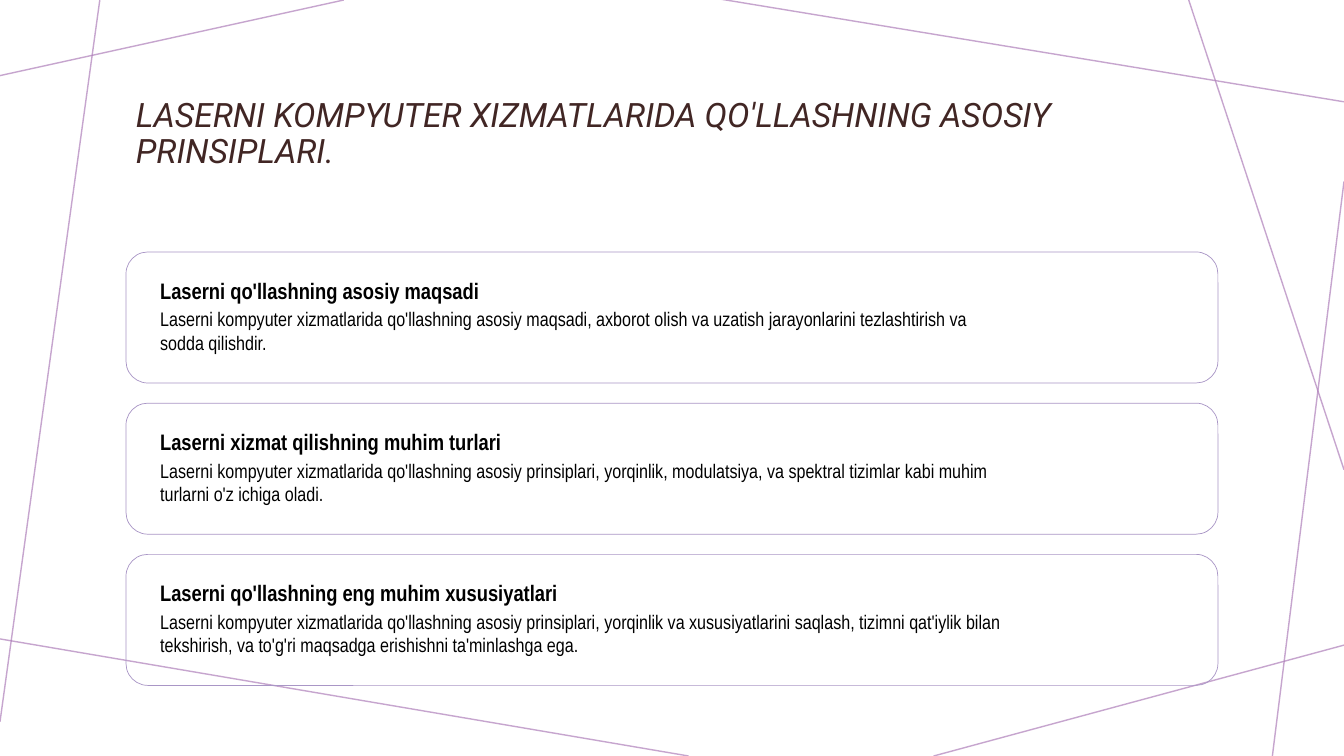
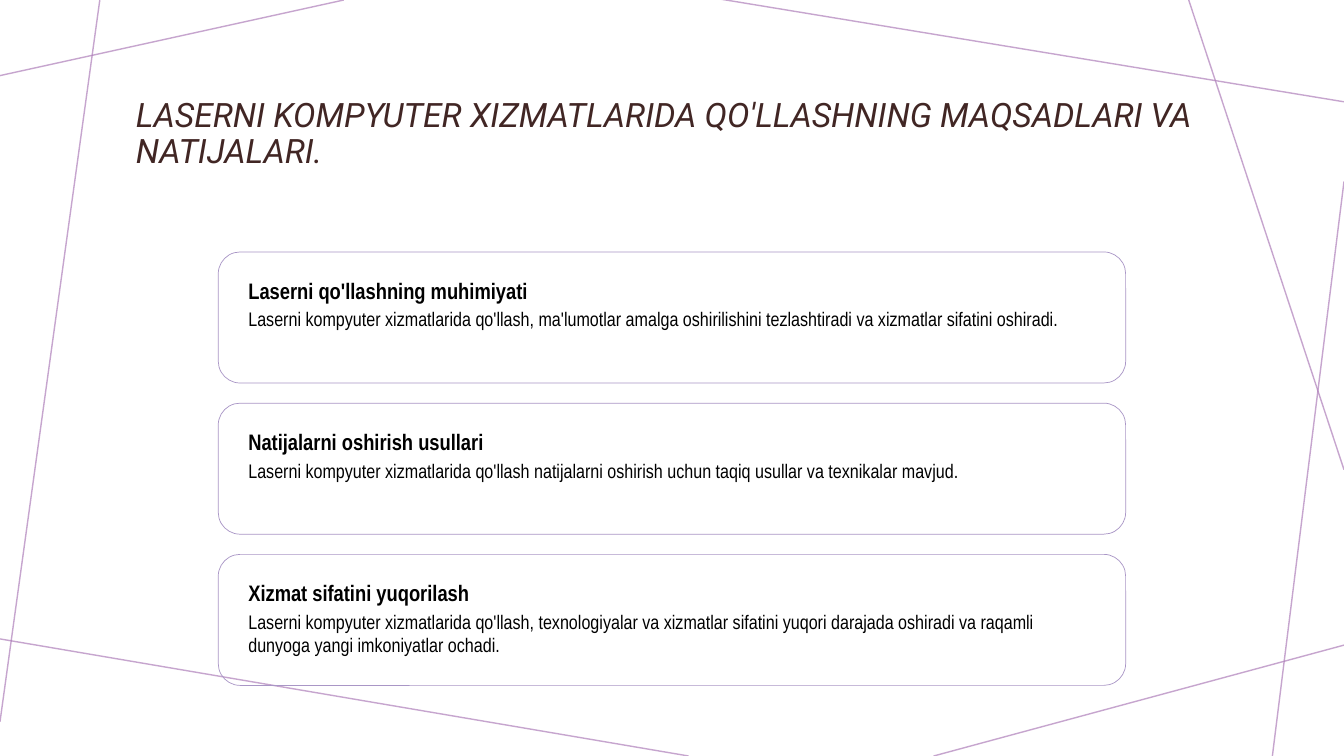
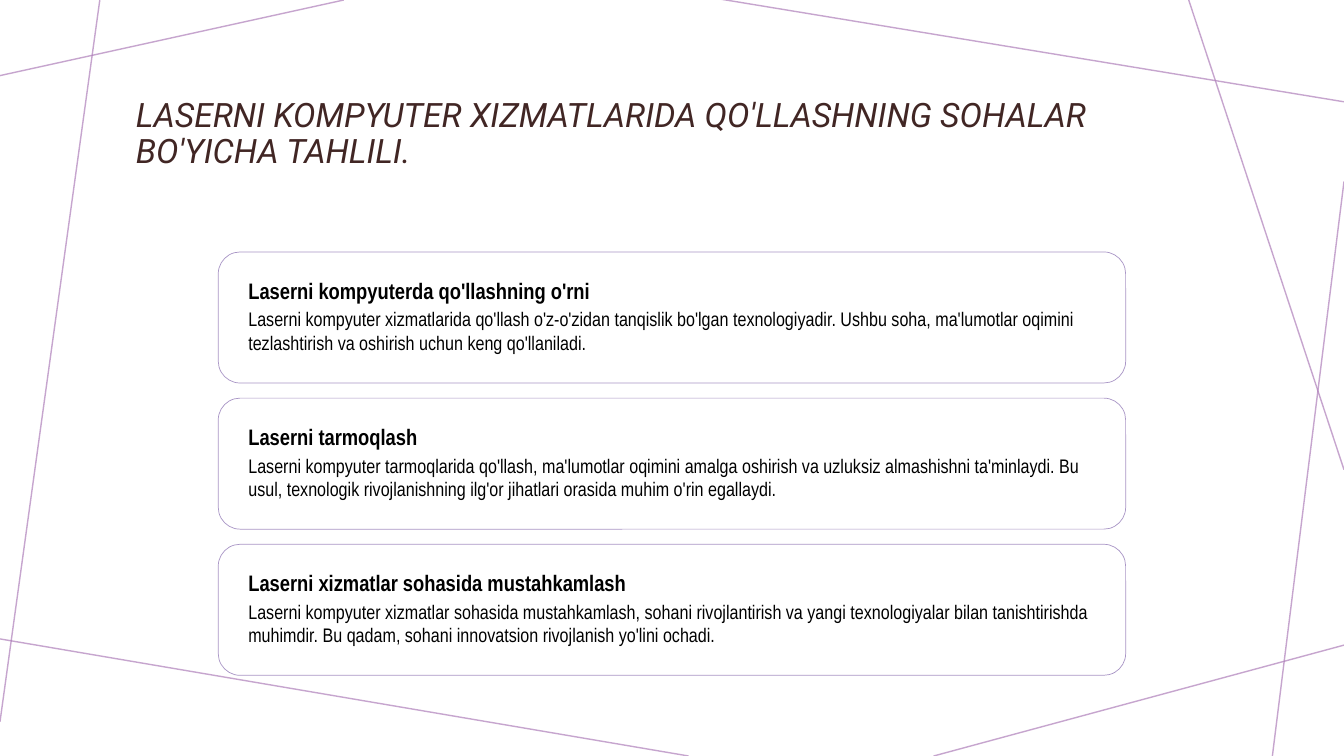
from pptx import Presentation
from pptx.dml.color import RGBColor as RGB
from pptx.enum.shapes import MSO_CONNECTOR as Link, MSO_SHAPE as Shape
from pptx.enum.text import MSO_ANCHOR as Anchor, MSO_AUTO_SIZE as Fit
from pptx.oxml.ns import qn
from pptx.util import Inches, Pt
from lxml.etree import SubElement as Sub

WIDE, HIGH = 13.33, 7.5
RAY, EDGE, HEAD, INK = "AF7FBA", "A996C6", "412624", "000000"
SERIF, NARROW = "Roboto", "Arial Narrow"
TOP, TALL = 2.5, 1.3
RAYS = [
    (3.41, 0, 0, 0.75),
    (0.99, 0, 0, 7.16),
    (6.83, HIGH, -0.05, 6.33),
    (WIDE, 6.4, 9.26, HIGH),
    (WIDE, 1.8, 12.62, HIGH),
    (WIDE, 4.66, 11.79, 0),
    (WIDE, 1.01, 7.14, -0.01),
]

SLIDES = [
    {
        "title": "LASERNI KOMPYUTER XIZMATLARIDA QO'LLASHNING ASOSIY PRINSIPLARI.",
        "width": 10.83, "inset": 0.24, "step": 1.5,
        "cards": [
            ("Laserni qo'llashning asosiy maqsadi",
             "Laserni kompyuter xizmatlarida qo'llashning asosiy maqsadi, axborot olish "
             "va uzatish jarayonlarini tezlashtirish va sodda qilishdir."),
            ("Laserni xizmat qilishning muhim turlari",
             "Laserni kompyuter xizmatlarida qo'llashning asosiy prinsiplari, yorqinlik, "
             "modulatsiya, va spektral tizimlar kabi muhim turlarni o'z ichiga oladi."),
            ("Laserni qo'llashning eng muhim xususiyatlari",
             "Laserni kompyuter xizmatlarida qo'llashning asosiy prinsiplari, yorqinlik "
             "va xususiyatlarini saqlash, tizimni qat'iylik bilan tekshirish, va to'g'ri "
             "maqsadga erishishni ta'minlashga ega."),
        ],
    },
    {
        "title": "LASERNI KOMPYUTER XIZMATLARIDA QO'LLASHNING MAQSADLARI VA NATIJALARI.",
        "width": 9, "inset": 0.2, "step": 1.5,
        "cards": [
            ("Laserni qo'llashning muhimiyati",
             "Laserni kompyuter xizmatlarida qo'llash, ma'lumotlar amalga oshirilishini "
             "tezlashtiradi va xizmatlar sifatini oshiradi."),
            ("Natijalarni oshirish usullari",
             "Laserni kompyuter xizmatlarida qo'llash natijalarni oshirish uchun taqiq "
             "usullar va texnikalar mavjud."),
            ("Xizmat sifatini yuqorilash",
             "Laserni kompyuter xizmatlarida qo'llash, texnologiyalar va xizmatlar "
             "sifatini yuqori darajada oshiradi va raqamli dunyoga yangi imkoniyatlar "
             "ochadi."),
        ],
    },
    {
        "title": "LASERNI KOMPYUTER XIZMATLARIDA QO'LLASHNING SOHALAR BO'YICHA TAHLILI.",
        "width": 9, "inset": 0.2, "step": 1.45,
        "cards": [
            ("Laserni kompyuterda qo'llashning o'rni",
             "Laserni kompyuter xizmatlarida qo'llash o'z-o'zidan tanqislik bo'lgan "
             "texnologiyadir. Ushbu soha, ma'lumotlar oqimini tezlashtirish va oshirish "
             "uchun keng qo'llaniladi."),
            ("Laserni tarmoqlash",
             "Laserni kompyuter tarmoqlarida qo'llash, ma'lumotlar oqimini amalga "
             "oshirish va uzluksiz almashishni ta'minlaydi. Bu usul, texnologik "
             "rivojlanishning ilg'or jihatlari orasida muhim o'rin egallaydi."),
            ("Laserni xizmatlar sohasida mustahkamlash",
             "Laserni kompyuter xizmatlar sohasida mustahkamlash, sohani rivojlantirish "
             "va yangi texnologiyalar bilan tanishtirishda muhimdir. Bu qadam, sohani "
             "innovatsion rivojlanish yo'lini ochadi."),
        ],
    },
]


def paint(color, tone):
    """Set a colour from a hex string."""
    color.rgb = RGB.from_string(tone)


def add_ray(slide, *ends):
    """Draw one thin, partly clear line across the backdrop."""
    ray = slide.shapes.add_connector(Link.STRAIGHT, *map(Inches, ends))
    ray.line.width = Pt(1)
    paint(ray.line.color, RAY)
    form = ray._element.spPr
    tone = form.find(".//" + qn("a:srgbClr"))
    Sub(tone, qn("a:alpha"), val="70000")
    Sub(form, qn("a:effectLst"))


def add_text(slide, spot, words, size, face=NARROW, tone=INK, bold=False, slant=False):
    """Add a wrapped text box with one run and return its frame."""
    frame = slide.shapes.add_textbox(*map(Inches, spot)).text_frame
    frame.word_wrap = True
    run = frame.paragraphs[0].add_run()
    run.text = words
    font = run.font
    font.name, font.size, font.bold, font.italic = face, Pt(size), bold, slant
    paint(font.color, tone)
    return frame


def add_title(slide, words):
    """Add the slanted heading."""
    frame = add_text(slide, (1.25, 0.58, 10.83, 1.51), words, 24, SERIF, HEAD, slant=True)
    frame.vertical_anchor = Anchor.MIDDLE
    frame.paragraphs[0].line_spacing = 0.9


def add_card(slide, top, width, inset, label, body):
    """Add a centred outline card with its label and body."""
    left = (WIDE - width) / 2
    box = slide.shapes.add_shape(
        Shape.ROUNDED_RECTANGLE, *map(Inches, (left, top, width, TALL)))
    box.shadow.inherit = False
    box.fill.background()
    box.line.width = Pt(0.5)
    paint(box.line.color, EDGE)
    left += inset
    for frame in (
        add_text(slide, (left, top + 0.2, 8.6, 0.3), label, 16, bold=True),
        add_text(slide, (left, top + 0.5, 8.6, 0.8), body, 14),
    ):
        frame.auto_size = Fit.SHAPE_TO_FIT_TEXT


def add_page(deck, page):
    """Build one slide from its rays, title and cards."""
    slide = deck.slides.add_slide(deck.slide_layouts[6])
    for ray in RAYS:
        add_ray(slide, *ray)
    add_title(slide, page["title"])
    for row, card in enumerate(page["cards"]):
        add_card(slide, TOP + row * page["step"], page["width"], page["inset"], *card)


def main():
    """Build and save the deck."""
    deck = Presentation()
    deck.slide_width, deck.slide_height = Inches(WIDE), Inches(HIGH)
    for page in SLIDES:
        add_page(deck, page)
    deck.save("out.pptx")


if __name__ == "__main__":
    main()
